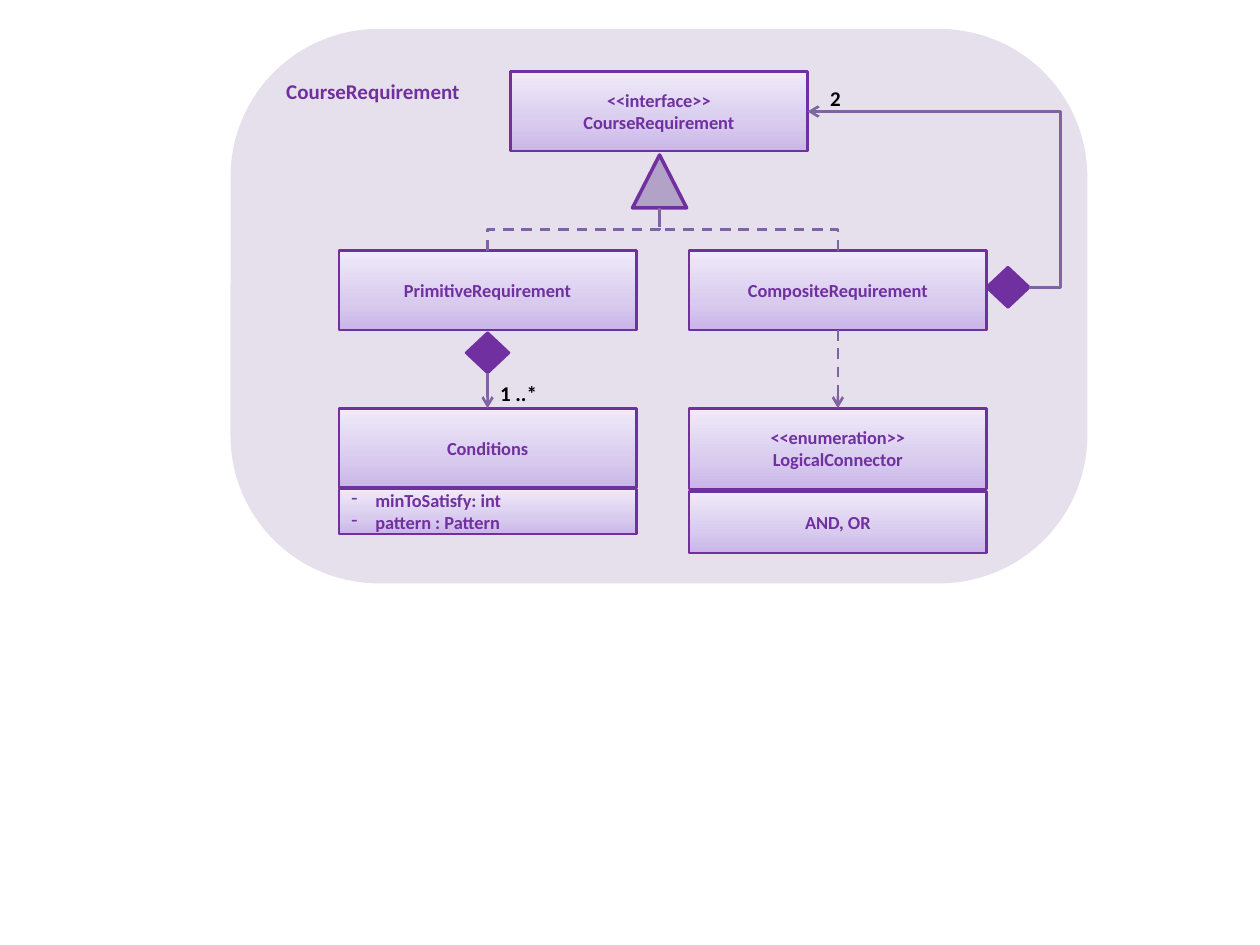
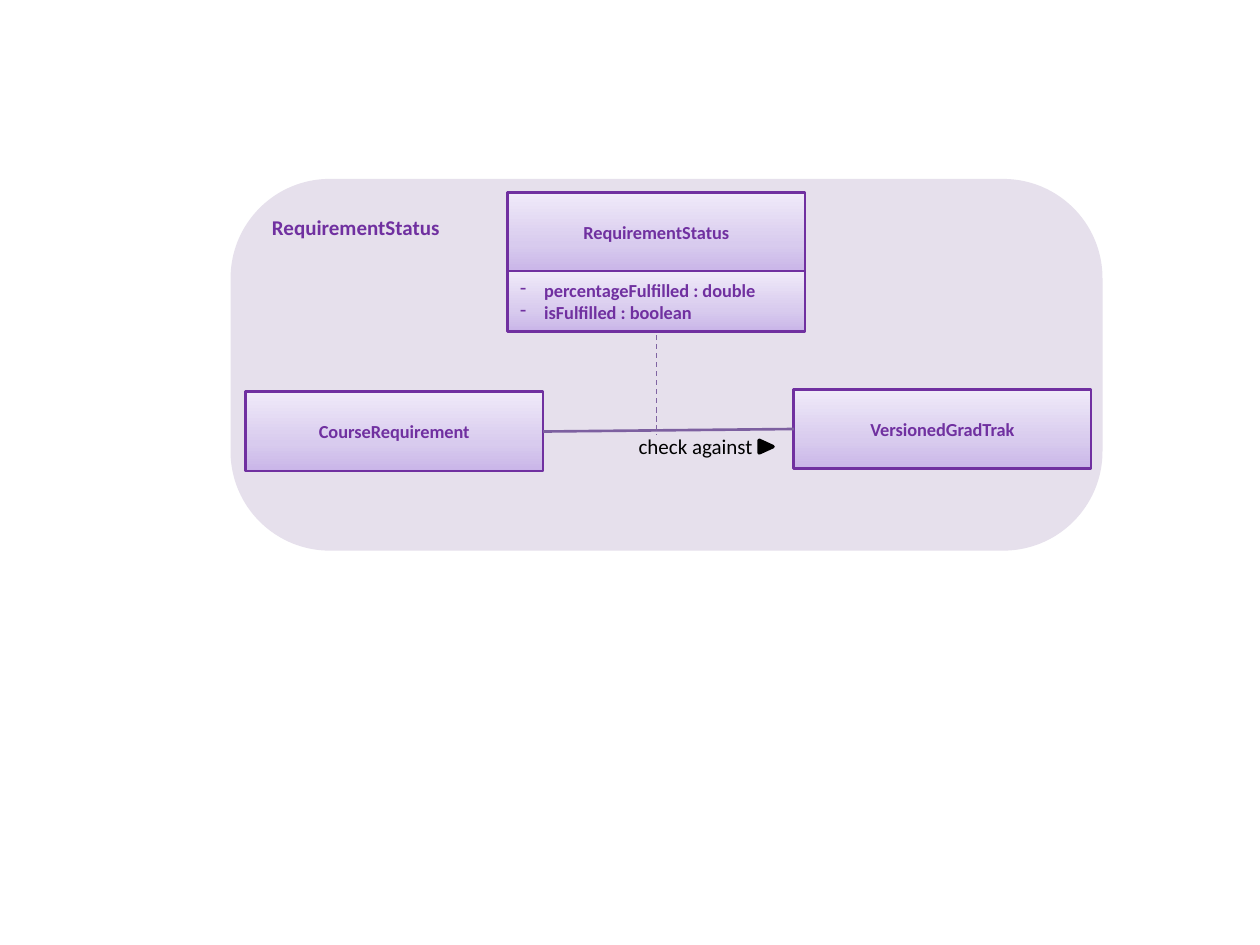
"""Build two slides of class diagrams for course requirements."""
import copy
from dataclasses import dataclass
from typing import NamedTuple

import lxml.etree
import pptx
import pptx.dml.color
import pptx.enum.dml
import pptx.enum.shapes
import pptx.enum.text
import pptx.oxml.ns
import pptx.util
from pptx.shapes.autoshape import Shape
from pptx.shapes.connector import Connector
from pptx.slide import Slide
from pptx.text.text import TextFrame

PX = 9144
KIND = pptx.enum.shapes.MSO_SHAPE
LINK = pptx.enum.shapes.MSO_CONNECTOR
ALIGN = pptx.enum.text.PP_ALIGN
ANCHOR = pptx.enum.text.MSO_ANCHOR
TOP, LEFT, BOTTOM, RIGHT = range(4)
BASE = 3


@dataclass(frozen=True)
class Theme:
    font: str = "Calibri"
    panel: str = "E6E0EC"
    purple: str = "7030A0"
    mauve: str = "B3A2C7"
    wire: str = "8064A2"
    bond: str = "7D60A0"
    ink: str = "000000"
    fade: tuple = ((0, "C9B5E8"), (0.35, "D8CBEE"), (1, "F0EAF9"))
    small: float = 10.5
    large: float = 12
    thin: float = 0.75
    edge: float = 1.5
    thick: float = 2


THEME = Theme()


class Area(NamedTuple):
    x: int
    y: int
    w: int
    h: int

    def emu(self) -> list[int]:
        return [side * PX for side in self]


class Node(NamedTuple):
    name: str
    area: Area
    lines: tuple[str, ...]
    listed: bool = False


class Mark(NamedTuple):
    kind: int
    area: Area
    fill: str
    edge: str
    weight: float
    turn: int = 0


class Label(NamedTuple):
    area: Area
    text: str
    bold: bool = True


def rgb(value: str) -> pptx.dml.color.RGBColor:
    return pptx.dml.color.RGBColor.from_string(value)


def tag(name: str) -> str:
    return pptx.oxml.ns.qn(f"a:{name}")


def box(x: int, y: int, h: int = 63) -> Area:
    return Area(x, y, 236, h)


def write(frame: TextFrame, lines: tuple[str, ...], size: float, color: str,
          bold: bool = True, center: bool = False, listed: bool = False) -> None:
    frame.word_wrap = True
    frame.vertical_anchor = ANCHOR.MIDDLE if center or listed else ANCHOR.TOP
    for index, line in enumerate(lines):
        para = frame.add_paragraph() if index else frame.paragraphs[0]
        para.text = line
        para.alignment = ALIGN.CENTER if center else ALIGN.LEFT
        if listed:
            props = para._p.get_or_add_pPr()
            props.set("marL", str(19 * PX))
            props.set("indent", str(-19 * PX))
            lxml.etree.SubElement(props, tag("buChar"), char="-")
        font = para.font
        font.name, font.size, font.bold = THEME.font, pptx.util.Pt(size), bold
        font.color.rgb = rgb(color)


def outline(shape: Shape, color: str, weight: float) -> None:
    shape.line.color.rgb = rgb(color)
    shape.line.width = pptx.util.Pt(weight)


def draw_panel(slide: Slide, area: Area, title: str) -> None:
    shape = slide.shapes.add_shape(KIND.ROUNDED_RECTANGLE, *area.emu())
    shape.adjustments[0] = 0.267
    shape.shadow.inherit = False
    shape.fill.solid()
    shape.fill.fore_color.rgb = rgb(THEME.panel)
    shape.line.fill.background()
    write(shape.text_frame, (title,), THEME.large, THEME.purple)


def draw_node(slide: Slide, node: Node) -> Shape:
    shape = slide.shapes.add_shape(KIND.RECTANGLE, *node.area.emu())
    shape.shadow.inherit = False
    fill = shape.fill
    fill.gradient()
    fill.gradient_angle = 90
    stops = shape._element.spPr.find(f".//{tag('gsLst')}")
    stops.append(copy.deepcopy(stops[0]))
    for stop, (place, color) in zip(fill.gradient_stops, THEME.fade):
        stop.position = place
        stop.color.rgb = rgb(color)
    outline(shape, THEME.purple, THEME.edge)
    write(shape.text_frame, node.lines, THEME.small, THEME.purple,
          center=not node.listed, listed=node.listed)
    return shape


def draw_nodes(slide: Slide, nodes: tuple[Node, ...]) -> dict[str, Shape]:
    return {node.name: draw_node(slide, node) for node in nodes}


def draw_mark(slide: Slide, mark: Mark) -> Shape:
    shape = slide.shapes.add_shape(mark.kind, *mark.area.emu())
    shape.shadow.inherit = False
    shape.rotation = mark.turn
    shape.fill.solid()
    shape.fill.fore_color.rgb = rgb(mark.fill)
    outline(shape, mark.edge, mark.weight)
    return shape


def draw_label(slide: Slide, label: Label) -> None:
    frame = slide.shapes.add_textbox(*label.area.emu()).text_frame
    write(frame, (label.text,), THEME.large, THEME.ink, label.bold)


def style(wire: Connector, color: str = THEME.wire, weight: float = THEME.edge,
          dash: bool = False, arrow: bool = False) -> None:
    wire.line.color.rgb = rgb(color)
    wire.line.width = pptx.util.Pt(weight)
    if dash:
        wire.line.dash_style = pptx.enum.dml.MSO_LINE.DASH
    props = wire._element.spPr
    if arrow:
        lxml.etree.SubElement(props.find(tag("ln")), tag("tailEnd"), type="arrow")
    lxml.etree.SubElement(props, tag("effectLst"))


def join(slide: Slide, start: Shape, out: int, stop: Shape, into: int,
         kind: int = LINK.STRAIGHT) -> Connector:
    wire = slide.shapes.add_connector(kind, 0, 0, 0, 0)
    wire.begin_connect(start, out)
    wire.end_connect(stop, into)
    return wire


def draw_branch(slide: Slide, child: Shape, arrow: Shape) -> None:
    wire = join(slide, child, TOP, arrow, BASE, LINK.ELBOW)
    left, low = wire.begin_x, wire.begin_y
    right, high = arrow.left + arrow.width // 2, arrow.top + arrow.height
    mid_x, mid_y = (left + right) // 2, (low + high) // 2
    half_w, half_h = (low - high) // 2, (right - left) // 2
    wire.begin_x, wire.begin_y = mid_x - half_w, mid_y - half_h
    wire.end_x, wire.end_y = mid_x + half_w, mid_y + half_h
    wire._element.spPr.find(tag("xfrm")).set("rot", "16200000")
    style(wire, dash=True)


def draw_loop(slide: Slide, start: Shape, stop: Shape) -> None:
    wire = join(slide, start, RIGHT, stop, RIGHT, LINK.ELBOW)
    shape = wire._element.spPr.find(tag("prstGeom"))
    guides = shape.find(tag("avLst"))
    if guides is None:
        guides = lxml.etree.SubElement(shape, tag("avLst"))
    lxml.etree.SubElement(guides, tag("gd"), name="adj1", fmla="val -14200")
    style(wire, arrow=True)


def build_course(slide: Slide) -> None:
    left, right = 269, 547
    draw_panel(slide, Area(183, 23, 680, 440), "CourseRequirement")
    nodes = draw_nodes(slide, (
        Node("course", box(405, 57), ("<<interface>>", "CourseRequirement")),
        Node("single", box(left, 199), ("PrimitiveRequirement",)),
        Node("group", box(right, 199), ("CompositeRequirement",)),
        Node("rules", box(left, 324), ("Conditions",)),
        Node("fields", box(left, 388, 36),
             ("minToSatisfy: int", "pattern : Pattern"), True),
        Node("logic", box(right, 324, 64), ("<<enumeration>>", "LogicalConnector")),
        Node("values", box(right, 390, 49), ("AND, OR",)),
    ))
    side, below = (
        draw_mark(slide, Mark(KIND.FLOWCHART_DECISION, Area(x, y, 34, 32),
                              THEME.purple, THEME.purple, THEME.edge))
        for x, y in ((783, 212), (370, 264)))
    parent = draw_mark(slide, Mark(KIND.ISOSCELES_TRIANGLE, Area(502, 123, 43, 42),
                                   THEME.mauve, THEME.purple, THEME.thick))
    for child in ("single", "group"):
        draw_branch(slide, nodes[child], parent)
    draw_loop(slide, side, nodes["course"])
    style(join(slide, nodes["group"], BOTTOM, nodes["logic"], TOP),
          dash=True, arrow=True)
    style(join(slide, below, BOTTOM, nodes["rules"], TOP), arrow=True)
    draw_label(slide, Label(Area(649, 63, 32, 50), "2"))
    draw_label(slide, Label(Area(387, 297, 55, 30), "1 ..*"))


def build_status(slide: Slide) -> None:
    draw_panel(slide, Area(183, 142, 692, 295), "RequirementStatus")
    nodes = draw_nodes(slide, (
        Node("course", box(195, 311), ("CourseRequirement",)),
        Node("track", box(630, 309), ("VersionedGradTrak",)),
        Node("status", box(403, 153), ("RequirementStatus",)),
        Node("fields", box(403, 215, 48),
             ("percentageFulfilled : double", "isFulfilled : boolean"), True),
    ))
    style(join(slide, nodes["course"], RIGHT, nodes["track"], LEFT), THEME.bond)
    drop = slide.shapes.add_connector(
        LINK.STRAIGHT, 521 * PX, 266 * PX, 521 * PX, 345 * PX)
    style(drop, weight=THEME.thin, dash=True)
    draw_label(slide, Label(Area(497, 339, 172, 30), "check against", False))
    draw_mark(slide, Mark(KIND.ISOSCELES_TRIANGLE, Area(603, 349, 10, 11),
                          THEME.ink, THEME.ink, THEME.thick, 90))


def main() -> None:
    deck = pptx.Presentation()
    deck.slide_width, deck.slide_height = 1000 * PX, 750 * PX
    for build in (build_course, build_status):
        build(deck.slides.add_slide(deck.slide_layouts[6]))
    deck.save("out.pptx")


if __name__ == "__main__":
    main()
